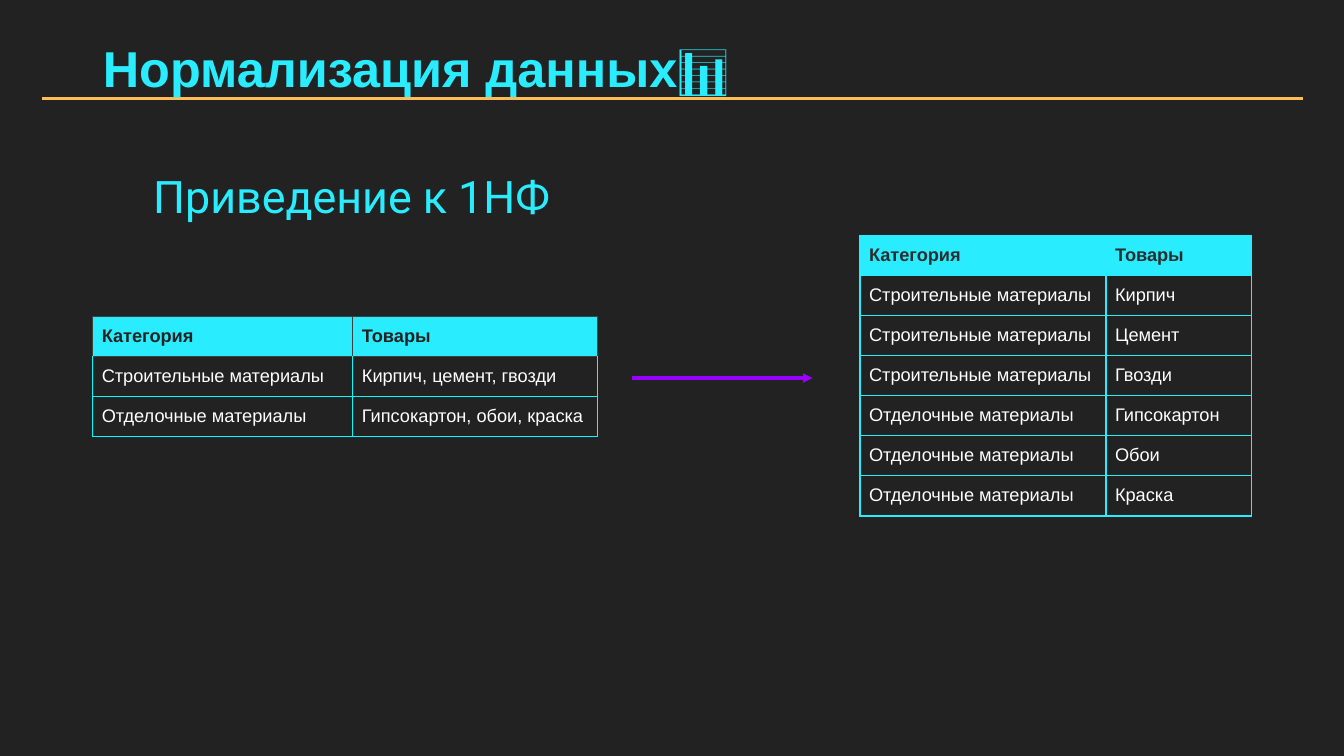
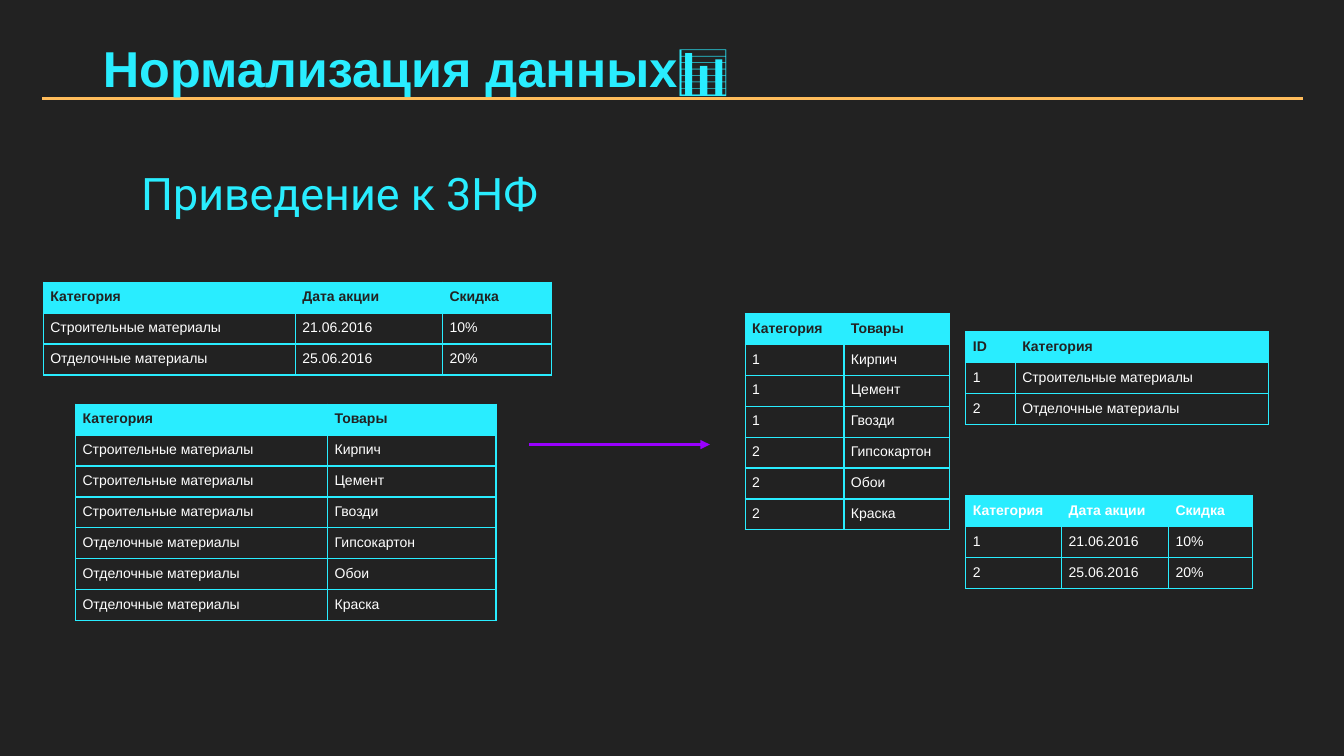
"""Build two slides on bringing data tables to normal form."""
from lxml import etree
from pptx import Presentation
from pptx.dml.color import RGBColor
from pptx.enum.shapes import MSO_CONNECTOR
from pptx.enum.text import MSO_ANCHOR, MSO_AUTO_SIZE, PP_ALIGN
from pptx.oxml import parse_xml
from pptx.oxml.ns import nsdecls, qn
from pptx.util import Inches, Pt

STRAIGHT = MSO_CONNECTOR.STRAIGHT
LEFT, MIDDLE = PP_ALIGN.LEFT, MSO_ANCHOR.MIDDLE
NO_AUTOFIT = MSO_AUTO_SIZE.NONE

WIDTH, HEIGHT, TITLE_ONLY = 13.33, 7.5, 5
COLORS = {"background": "222222", "cyan": "29EDFF", "aqua": "00FFFF", "rule": "FFBC5B",
          "arrow": "9900FF", "dark": "222222", "slate": "2C2D30", "grey": "404040", "white": "FFFFFF"}
LARGE = {"size": 13, "margin": 0.09, "header_height": 0.24, "row_height": 0.02}
SMALL = {"size": 10, "margin": 0.07, "header_height": 0.18, "row_height": 0.01}
ARROW_LENGTH, FRAME_SIZE = 1.79, 3.28

TITLE = "Нормализация данных📊"
BUILDING, FINISHING = "Строительные материалы", "Отделочные материалы"
GOODS = [(BUILDING, ["Кирпич", "Цемент", "Гвозди"]), (FINISHING, ["Гипсокартон", "Обои", "Краска"])]
OFFERS = [("21.06.2016", "10%"), ("25.06.2016", "20%")]
CATEGORY_GOODS = ("Категория", "Товары")
CATEGORY_OFFERS = ("Категория", "Дата акции", "Скидка")

NAMES = [name for name, items in GOODS]
GOODS_BY_NAME = [CATEGORY_GOODS] + [(name, item) for name, items in GOODS for item in items]
GOODS_BY_ID = [CATEGORY_GOODS] + [(str(number), item) for number, (name, items) in enumerate(GOODS, 1)
                                  for item in items]
OFFERS_BY_NAME = [CATEGORY_OFFERS] + [(name, *offer) for name, offer in zip(NAMES, OFFERS)]
OFFERS_BY_ID = [CATEGORY_OFFERS] + [(str(number), *offer) for number, offer in enumerate(OFFERS, 1)]
CATEGORIES = [("ID", "Категория")] + [(str(number), name) for number, name in enumerate(NAMES, 1)]
GOODS_LISTS = [CATEGORY_GOODS, (BUILDING, "Кирпич, цемент, гвозди"),
               (FINISHING, "Гипсокартон, обои, краска")]

SLIDES = [
    {"heading": "Приведение к 1НФ", "heading_at": (0.92, 1.31), "arrow_at": (6.27, 3.75), "style": LARGE,
     "tables": [
         {"at": (0.92, 3.14), "columns": (2.58, 2.43), "rows": GOODS_LISTS,
          "header_border": "grey", "border": "aqua"},
         {"at": (8.53, 2.34), "columns": (2.44, 1.44), "rows": GOODS_BY_NAME, "header_color": "slate"}]},
    {"heading": "Приведение к 3НФ", "heading_at": (0.8, 1.28), "arrow_at": (5.25, 4.41), "style": SMALL,
     "tables": [
         {"at": (0.43, 2.8), "columns": (2.5, 1.46, 1.08), "rows": OFFERS_BY_NAME},
         {"at": (0.75, 4.01), "columns": (2.5, 1.67), "rows": GOODS_BY_NAME},
         {"at": (9.58, 3.29), "columns": (0.49, 2.51), "rows": CATEGORIES},
         {"at": (9.58, 4.92), "columns": (0.95, 1.06, 0.83), "rows": OFFERS_BY_ID, "header_color": "white"},
         {"at": (7.39, 3.11), "columns": (0.98, 1.05), "rows": GOODS_BY_ID}]},
]


def rgb(name):
    return RGBColor.from_string(COLORS[name])


def write(text_frame, text, size, color, font="Arial", bold=False, spacing=None):
    paragraph = text_frame.paragraphs[0]
    paragraph.alignment, paragraph.line_spacing = LEFT, spacing
    run = paragraph.add_run()
    run.text = text
    run.font.name, run.font.size, run.font.bold = font, Pt(size), bold
    run.font.color.rgb = rgb(color)


def add_line(slide, left, top, length, color, width, arrow=False):
    connector = slide.shapes.add_connector(
        STRAIGHT, Inches(left), Inches(top), Inches(left + length), Inches(top))
    connector.line.color.rgb, connector.line.width = rgb(color), Pt(width)
    properties = connector.element.spPr
    if arrow:
        etree.SubElement(properties.find(qn("a:ln")), qn("a:tailEnd"), type="triangle")
    etree.SubElement(properties, qn("a:effectLst"))
    return connector


def set_borders(cell, colors):
    properties = cell._tc.get_or_add_tcPr()
    for side in "LRTB":
        properties.append(parse_xml(
            f'<a:ln{side} {nsdecls("a")} w="{Pt(1)}"><a:solidFill>'
            f'<a:srgbClr val="{COLORS[colors[side]]}"/></a:solidFill></a:ln{side}>'))


def add_table(slide, style, at, columns, rows, header_color="dark", header_border="cyan", border="cyan"):
    left, top = at
    size = Inches(FRAME_SIZE)
    frame = slide.shapes.add_table(len(rows), len(columns), Inches(left), Inches(top), size, size)
    table = frame.table
    table.horz_banding = False
    for column, width in zip(table.columns, columns):
        column.width = Inches(width)
    for row_index, row in enumerate(rows):
        is_header = row_index == 0
        table.rows[row_index].height = Inches(style["header_height" if is_header else "row_height"])
        colors = dict.fromkeys("LRTB", header_border if is_header else border)
        if row_index == 1:
            colors["T"] = header_border
        for column_index, text in enumerate(row):
            cell = table.cell(row_index, column_index)
            cell.margin_left = cell.margin_right = Inches(style["margin"])
            cell.margin_top = cell.margin_bottom = Inches(style["margin"])
            set_borders(cell, colors)
            if is_header:
                cell.fill.solid()
                cell.fill.fore_color.rgb = rgb("cyan")
            else:
                cell.fill.background()
            write(cell.text_frame, text, style["size"], header_color if is_header else "white", bold=is_header)
    frame.width = frame.height = size


def add_heading(slide, text, at):
    left, top = at
    text_frame = slide.shapes.add_textbox(Inches(left), Inches(top), Inches(11.73), Inches(0.74)).text_frame
    text_frame.word_wrap = True
    text_frame.margin_left = Inches(0.6)
    text_frame.margin_top = text_frame.margin_right = text_frame.margin_bottom = Inches(0.1)
    write(text_frame, text, 32, "cyan", font="Roboto", spacing=1.5)


def prepare_layout(presentation):
    layout = presentation.slide_layouts[TITLE_ONLY]
    fill = presentation.slide_master.background.fill
    fill.solid()
    fill.fore_color.rgb = rgb("background")
    title = layout.placeholders[0]
    title.left, title.top, title.width, title.height = map(Inches, (0.92, 0.4, 11.5, 0.61))
    title.text_frame.vertical_anchor = MIDDLE
    title.text_frame.auto_size = NO_AUTOFIT
    return layout


def main():
    presentation = Presentation()
    presentation.slide_width, presentation.slide_height = Inches(WIDTH), Inches(HEIGHT)
    layout = prepare_layout(presentation)
    for content in SLIDES:
        slide = presentation.slides.add_slide(layout)
        write(slide.shapes.title.text_frame, TITLE, 36, "cyan", bold=True, spacing=0.9)
        add_heading(slide, content["heading"], content["heading_at"])
        add_line(slide, *content["arrow_at"], ARROW_LENGTH, "arrow", 2.25, arrow=True)
        for table in content["tables"]:
            add_table(slide, content["style"], **table)
    rule = add_line(slide, 0.42, 0.98, 12.5, "rule", 2)
    layout.shapes.element.append(rule.element)
    presentation.save("out.pptx")


if __name__ == "__main__":
    main()
